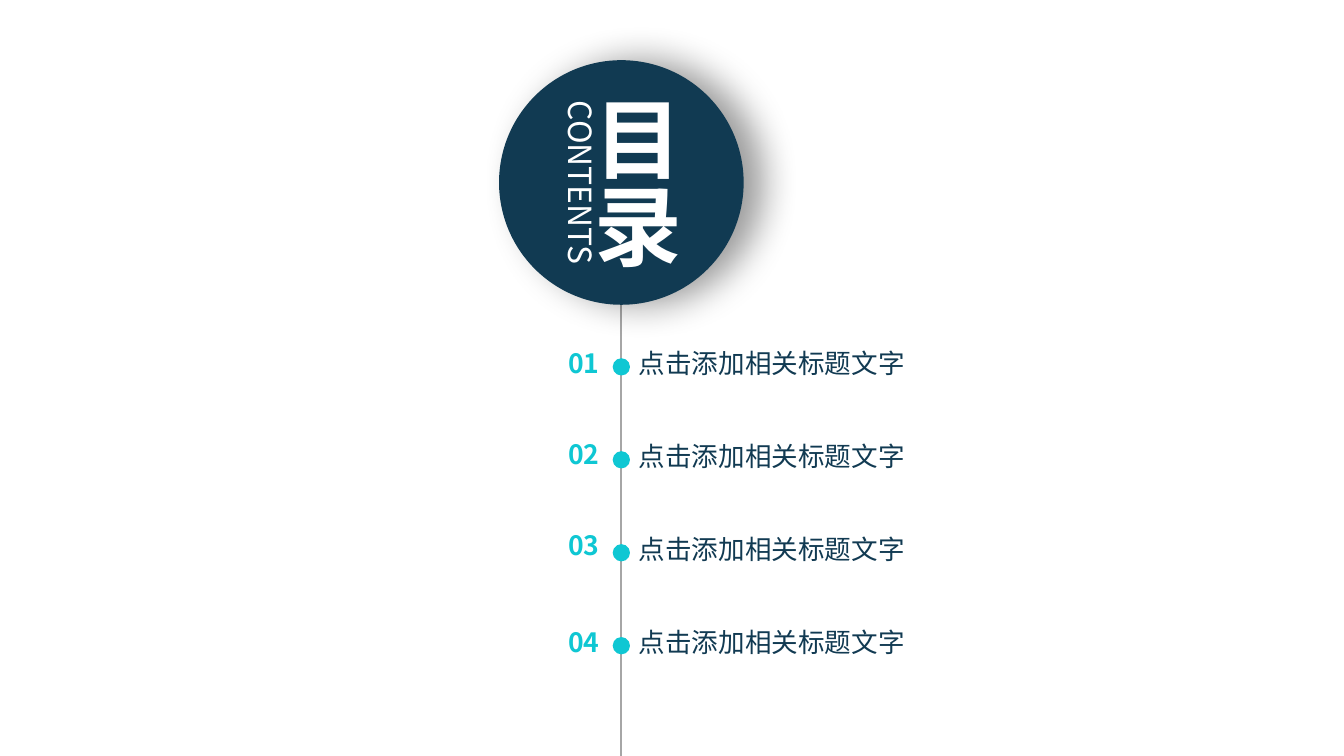
from lxml.etree import SubElement as Sub
from pptx import Presentation
from pptx.dml.color import RGBColor as Rgb
from pptx.enum.shapes import MSO_CONNECTOR as Conn, MSO_SHAPE as Kind
from pptx.enum.text import MSO_ANCHOR as Anchor, MSO_AUTO_SIZE as Fit, PP_ALIGN as Align
from pptx.oxml.ns import qn
from pptx.util import Cm, Pt

COLORS = {"navy": "113A52", "teal": "0FC7D3", "gray": "A6A6A6", "white": "FFFFFF"}
FONT = "Noto Sans CJK SC"
AXIS = 16.51
FIRST, STEP = 9.75, 2.47
LABEL = "点击添加相关标题文字"


def color(name):
    return Rgb.from_string(COLORS[name])


class Deck:
    def __init__(self, wide, high):
        self.prs = Presentation()
        self.prs.slide_width, self.prs.slide_height = Cm(wide), Cm(high)
        self.slide = self.prs.slides.add_slide(self.prs.slide_layouts[6])

    def line(self, x, top, end):
        line = self.slide.shapes.add_connector(
            Conn.STRAIGHT, Cm(x), Cm(top), Cm(x), Cm(end))
        line.line.color.rgb = color("gray")
        line.line.width = Pt(1.5)
        Sub(line._element.spPr, qn("a:effectLst"))

    def disc(self, x, y, size, fill, shadow=False):
        """Draw a circle centred on x, y."""
        disc = self.slide.shapes.add_shape(
            Kind.OVAL, Cm(x - size / 2), Cm(y - size / 2), Cm(size), Cm(size))
        disc.fill.solid()
        disc.fill.fore_color.rgb = color(fill)
        disc.line.fill.background()
        disc.shadow.inherit = False
        if shadow:
            glow = Sub(disc._element.spPr.find(qn("a:effectLst")), qn("a:outerShdw"),
                       blurRad=str(Pt(28)), dist=str(Pt(15)), dir="0",
                       algn="l", rotWithShape="0")
            tint = Sub(glow, qn("a:srgbClr"), val="000000")
            Sub(tint, qn("a:alpha"), val="40000")

    def text(self, text, left, top, wide, high, size=20, ink="navy", bold=False,
             align=Align.LEFT, anchor=Anchor.TOP, grow=True, pad=(0, 0, 0, 0), turn=0):
        box = self.slide.shapes.add_textbox(Cm(left), Cm(top), Cm(wide), Cm(high))
        box.rotation = turn
        frame = box.text_frame
        frame.word_wrap = True
        frame.auto_size = Fit.SHAPE_TO_FIT_TEXT if grow else Fit.NONE
        frame.vertical_anchor = anchor
        (frame.margin_left, frame.margin_top,
         frame.margin_right, frame.margin_bottom) = map(Cm, pad)
        frame.text = text
        for para in frame.paragraphs:
            para.alignment = align
            para.line_spacing = 0.83
            for run in para.runs:
                font = run.font
                font.size, font.bold, font.name = Pt(size), bold, FONT
                font.color.rgb = color(ink)
                Sub(font._element, qn("a:ea"), typeface=FONT)


def main():
    deck = Deck(35.71, 20.09)

    # Timeline with its entries
    deck.line(AXIS, 1.83, 20.09)
    for i, top in enumerate([9.32, 11.73, 14.15, 16.74]):
        y = FIRST + i * STEP
        deck.disc(AXIS, y, 0.46, "teal")
        deck.text(f"{i + 1:02}", 14.43, top, 1.5, 0.86, ink="teal", bold=True,
                  align=Align.RIGHT, pad=(0, 0.05, 0, 0))
        deck.text(LABEL, 16.97, y - 0.43, 8.56, 0.86, pad=(0, 0.05, 0, 0))

    # Title disc
    deck.disc(AXIS, 4.85, 6.5, "navy", shadow=True)
    deck.text("目\n录", 14.86, 1.83, 4.19, 6.05, size=66, ink="white", bold=True,
              align=Align.CENTER, anchor=Anchor.MIDDLE, grow=False, pad=(0, 0.4, 0, 0))
    deck.text("CONTENTS", 12.12, 4.22, 6.32, 1.27, size=24, ink="white",
              align=Align.CENTER, pad=(0.25, 0.13, 0.25, 0.13), turn=90)

    deck.prs.save("out.pptx")


if __name__ == "__main__":
    main()
